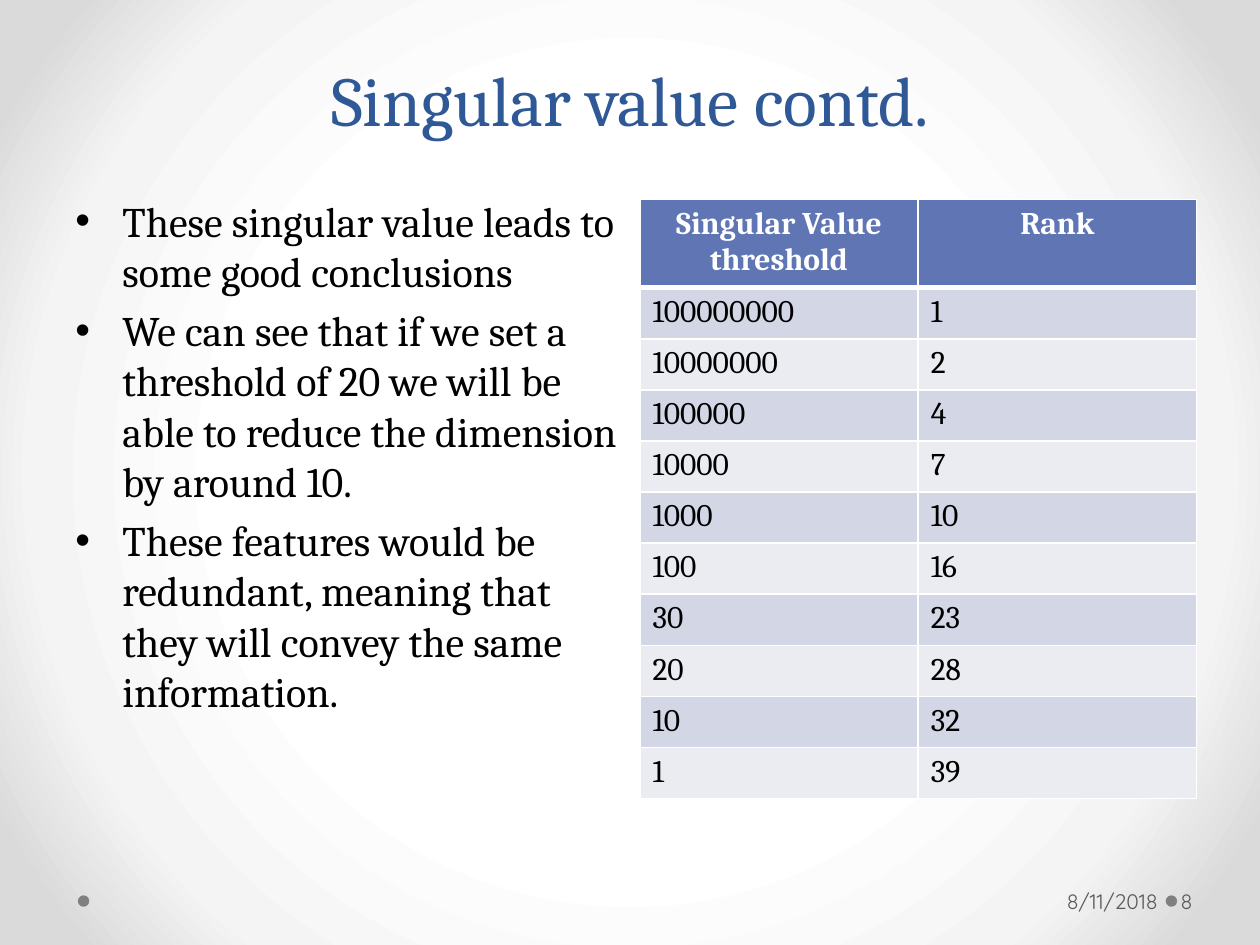
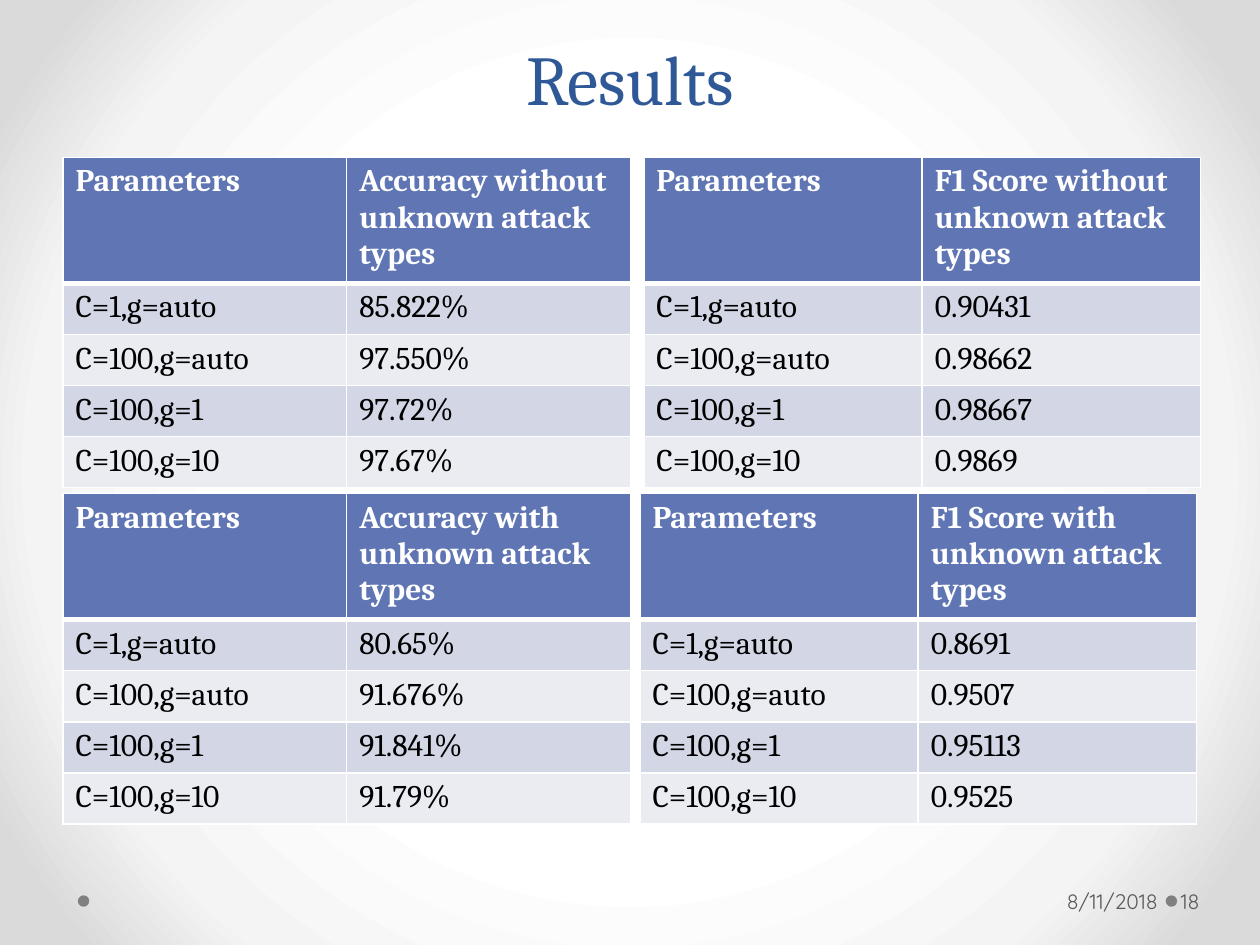
from pptx import Presentation
from pptx.dml.color import RGBColor
from pptx.enum.shapes import MSO_SHAPE
from pptx.enum.text import MSO_ANCHOR, MSO_AUTO_SIZE, PP_ALIGN
from pptx.oxml import parse_xml
from pptx.oxml.ns import nsdecls, qn
from pptx.util import Cm, Pt

LEFT, CENTER, RIGHT = PP_ALIGN.LEFT, PP_ALIGN.CENTER, PP_ALIGN.RIGHT
BOTTOM, MIDDLE = MSO_ANCHOR.BOTTOM, MSO_ANCHOR.MIDDLE
ELLIPSE = MSO_SHAPE.OVAL

TITLE_BLUE = RGBColor(0x2F, 0x58, 0x97)
HEADER_BLUE = RGBColor(0x60, 0x76, 0xB4)
BAND_DARK = RGBColor(0xD2, 0xD6, 0xE5)
BAND_LIGHT = RGBColor(0xEA, 0xEC, 0xF2)
DOT_GRAY = RGBColor(0x80, 0x80, 0x80)
FOOTER_GRAY = RGBColor(0x59, 0x59, 0x59)
WHITE = RGBColor(0xFF, 0xFF, 0xFF)
BLACK = RGBColor(0, 0, 0)
GLOW_STOPS = ((50, WHITE), (76, RGBColor(0xF4, 0xF4, 0xF4)),
              (92, RGBColor(0xDA, 0xDA, 0xDA)))

FONT, FOOTER_FONT = "Cambria", "Quicksand"
DATE = "8/11/2018"
MARGIN = 1.27
ROW_HEIGHT = 1.03
LEFT_COL, RIGHT_COL = 5.72, 5.61

RANKS = [("100000000", "1"), ("10000000", "2"), ("100000", "4"),
         ("10000", "7"), ("1000", "10"), ("100", "16"), ("30", "23"),
         ("20", "28"), ("10", "32"), ("1", "39")]
CONCLUSIONS = [
    "These singular value leads to some good conclusions",
    "We can see that if we set a threshold of 20 we will be able to reduce "
    "the dimension by around 10.",
    "These features would be redundant, meaning that they will convey the "
    "same information.",
]
PARAMETERS = ["C=1,g=auto", "C=100,g=auto", "C=100,g=1", "C=100,g=10"]
# left, top, column width, measure, values
RESULTS = [
    (MARGIN, 3.17, LEFT_COL, "Accuracy without unknown attack types",
     ["85.822%", "97.550%", "97.72%", "97.67%"]),
    (12.98, 3.17, RIGHT_COL, "F1 Score without unknown attack types",
     ["0.90431", "0.98662", "0.98667", "0.9869"]),
    (MARGIN, 9.95, LEFT_COL, "Accuracy with unknown attack types",
     ["80.65%", "91.676%", "91.841%", "91.79%"]),
    (12.9, 9.95, RIGHT_COL, "F1 Score with unknown attack types",
     ["0.8691", "0.9507", "0.95113", "0.9525"]),
]


def set_glow_background(master):
    """Radial white-to-gray gradient behind every slide."""
    master.background.fill.solid()
    solid = master.element.find(".//" + qn("p:bgPr")).find(qn("a:solidFill"))
    stops = "".join(
        f'<a:gs pos="{pos * 1000}"><a:srgbClr val="{color}"/></a:gs>'
        for pos, color in GLOW_STOPS)
    glow = parse_xml(
        f'<a:gradFill {nsdecls("a")} rotWithShape="1"><a:gsLst>{stops}</a:gsLst>'
        '<a:path path="circle"><a:fillToRect l="50000" t="50000" r="50000" '
        'b="50000"/></a:path></a:gradFill>')
    solid.getparent().replace(solid, glow)


def format_paragraph(p, size, color, font=FONT, bold=False, align=LEFT):
    p.alignment = align
    for r in p.runs:
        r.font.name = font
        r.font.size = Pt(size)
        r.font.bold = bold
        r.font.color.rgb = color


def add_text(s, left, top, width, height):
    tf = s.shapes.add_textbox(Cm(left), Cm(top), Cm(width), Cm(height)).text_frame
    tf.word_wrap = True
    return tf


def add_footer_text(s, text, left, width, inset, align):
    tf = add_text(s, left, 17.65, width, 1.02)
    tf.vertical_anchor = MIDDLE
    tf.margin_left = Cm(inset)
    tf.margin_right = Cm(0.13)
    tf.text = text
    format_paragraph(tf.paragraphs[0], 12, FOOTER_GRAY, FOOTER_FONT, align=align)


def add_dot(s, left):
    dot = s.shapes.add_shape(ELLIPSE, Cm(left), Cm(18.05), Cm(0.23), Cm(0.23))
    dot.shadow.inherit = False
    dot.fill.solid()
    dot.fill.fore_color.rgb = DOT_GRAY
    dot.line.fill.background()


def add_slide(prs, title, title_height, number):
    """Title-only slide with the shared title style and footer."""
    s = prs.slides.add_slide(prs.slide_layouts[5])
    for left in (23.5, 1.57):
        add_dot(s, left)
    sp = s.shapes.title
    sp.left, sp.top = Cm(MARGIN), Cm(0.2)
    sp.width, sp.height = Cm(22.86), Cm(title_height)
    tf = sp.text_frame
    tf.text = title
    tf.auto_size = MSO_AUTO_SIZE.NONE
    tf.vertical_anchor = BOTTOM
    p = tf.paragraphs[0]
    p.line_spacing = Pt(58)
    format_paragraph(p, 40, TITLE_BLUE, align=CENTER)
    add_footer_text(s, DATE, 17.68, 5.79, 0.25, RIGHT)
    add_footer_text(s, number, 23.72, 1.55, 0.08, LEFT)
    return s


def add_bullets(s, items, left, top, width, height):
    tf = add_text(s, left, top, width, height)
    for i, item in enumerate(items):
        p = tf.add_paragraph() if i else tf.paragraphs[0]
        p.text = item
        p.space_before = Pt(4.8)
        format_paragraph(p, 24, BLACK)
        pPr = p._p.get_or_add_pPr()
        pPr.set("marL", str(Cm(0.95)))
        pPr.set("indent", str(-Cm(0.95)))
        pPr.append(parse_xml(f'<a:buFont {nsdecls("a")} typeface="Arial"/>'))
        pPr.append(parse_xml(f'<a:buChar {nsdecls("a")} char="•"/>'))


def set_borders(cell, top, bottom):
    """White borders; top and bottom widths are in points."""
    tcPr = cell._tc.get_or_add_tcPr()
    for side, width in (("L", 1), ("R", 1), ("T", top), ("B", bottom)):
        tcPr.append(parse_xml(
            f'<a:ln{side} {nsdecls("a")} w="{Pt(width)}"><a:solidFill>'
            f'<a:srgbClr val="{WHITE}"/></a:solidFill></a:ln{side}>'))


def add_data_table(s, rows, left, top, col_width, header_height,
                   header_align=LEFT):
    """Banded table whose first row is the header."""
    n_cols = len(rows[0])
    height = header_height + ROW_HEIGHT * (len(rows) - 1)
    table = s.shapes.add_table(len(rows), n_cols, Cm(left), Cm(top),
                               Cm(col_width * n_cols), Cm(height)).table
    for i, values in enumerate(rows):
        header = i == 0
        table.rows[i].height = Cm(header_height if header else ROW_HEIGHT)
        band = BAND_DARK if i % 2 else BAND_LIGHT
        for j, value in enumerate(values):
            cell = table.cell(i, j)
            cell.text = value
            set_borders(cell, 3 if i == 1 else 1, 3 if header else 1)
            cell.fill.solid()
            cell.fill.fore_color.rgb = HEADER_BLUE if header else band
            format_paragraph(cell.text_frame.paragraphs[0], 18,
                             WHITE if header else BLACK, bold=header,
                             align=header_align if header else LEFT)


def main():
    prs = Presentation()
    prs.slide_width, prs.slide_height = Cm(25.4), Cm(19.05)
    set_glow_background(prs.slide_master)

    s = add_slide(prs, "Singular value contd.", 2.75, "8")
    add_bullets(s, CONCLUSIONS, MARGIN, 3.81, 11.43, 13.21)
    add_data_table(s, [("Singular Value threshold", "Rank"), *RANKS],
                   12.9, 4.02, RIGHT_COL, 1.7, CENTER)

    s = add_slide(prs, "Results", 2.34, "18")
    for left, top, col_width, measure, values in RESULTS:
        rows = [("Parameters", measure), *zip(PARAMETERS, values)]
        add_data_table(s, rows, left, top, col_width, 2.45)

    prs.save("out.pptx")


if __name__ == "__main__":
    main()
